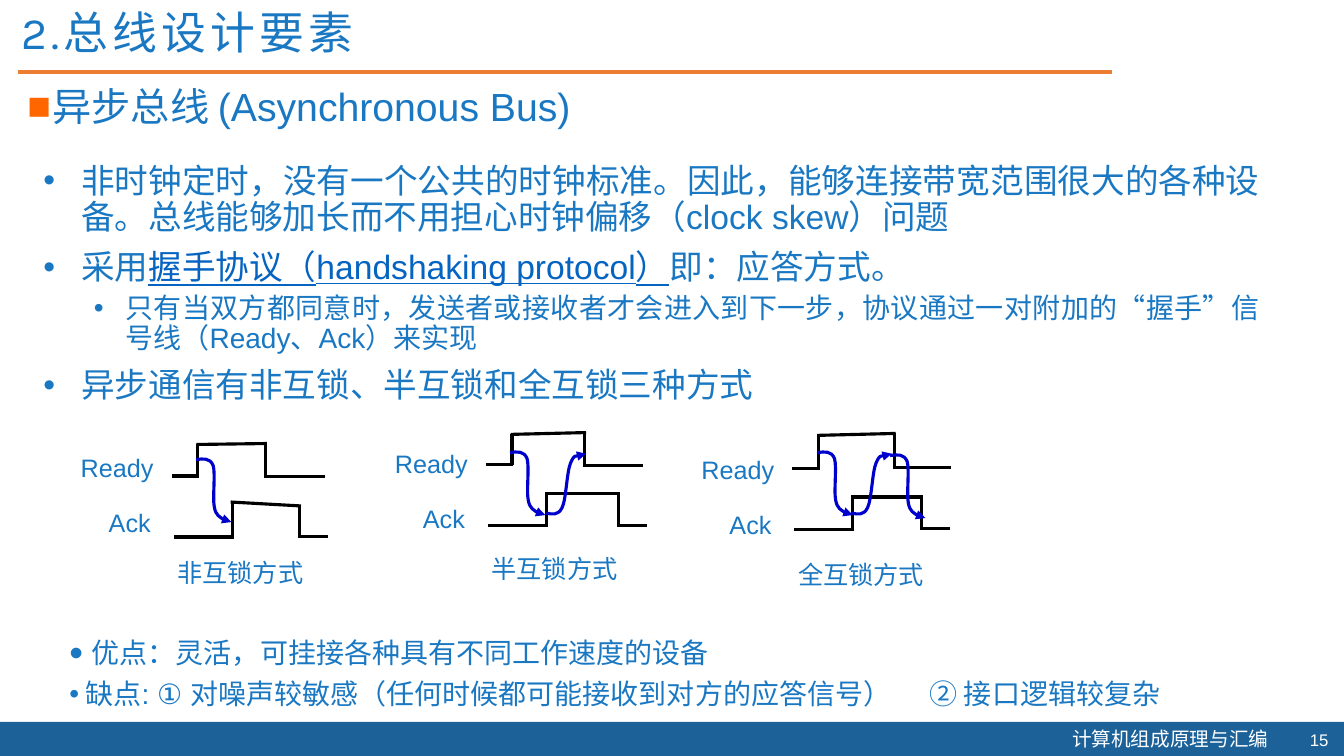
from itertools import pairwise

from lxml.etree import SubElement
from pptx import Presentation
from pptx.dml.color import RGBColor
from pptx.enum.shapes import MSO_CONNECTOR, MSO_SHAPE
from pptx.enum.text import MSO_ANCHOR, MSO_AUTO_SIZE, PP_ALIGN
from pptx.oxml.ns import qn
from pptx.util import Pt

BLUE = RGBColor(0x1A, 0x78, 0xC3)
LINK = RGBColor(0x05, 0x63, 0xC1)
FOOTER = RGBColor(0x1C, 0x62, 0x99)
ORANGE = RGBColor(0xED, 0x7D, 0x31)
ARROW = RGBColor(0x00, 0x00, 0xCC)
BLACK = RGBColor(0, 0, 0)
WHITE = RGBColor(255, 255, 255)

# Bezier points in points, relative to the start of each arrow
FORWARD = [(0, 0), (5, -0.7), (10, -1.4), (12.2, 4.3), (13.9, 10.1), (11.7, 27.5),
           (13, 33.8), (14, 40.2), (17.3, 41), (19.3, 42.6), (21.2, 44),
           (23, 44.6), (25.2, 44.6)]
REPLY = [(0, 0), (4, 0.9), (8.4, 2), (11.3, -3.8), (14.3, -9.9), (14.6, -29.4),
         (17.4, -35.8), (20.3, -42.3), (26.4, -41.6), (28.6, -42.4)]


class SlideBuilder:
    font = "Arial"
    color = BLUE
    stroke = 2.25

    def __init__(self, page):
        self.page = page

    def title(self, text, left, top, width, height):
        box = self.page.shapes.title
        box.left, box.top, box.width, box.height = map(Pt, (left, top, width, height))
        frame = box.text_frame
        frame.auto_size = MSO_AUTO_SIZE.NONE
        frame.vertical_anchor = MSO_ANCHOR.MIDDLE
        para = frame.paragraphs[0]
        self.style(para, 32, font="Karla")
        para.alignment = PP_ALIGN.LEFT
        para.line_spacing = 0.9
        span = para.add_run()
        span.text = text
        span.font._element.set("spc", "300")

    def style(self, para, size, color=None, font=None):
        para.font.size = Pt(size)
        para.font.name = font or self.font
        para.font.color.rgb = color or self.color

    def frame(self, left, top, width, height):
        box = self.page.shapes.add_textbox(*map(Pt, (left, top, width, height)))
        box.text_frame.word_wrap = True
        return box.text_frame

    def label(self, text, left, top, width, height, size=18, color=None, font=None,
              align=PP_ALIGN.LEFT):
        para = self.frame(left, top, width, height).paragraphs[0]
        para.text = text
        para.alignment = align
        self.style(para, size, color, font)

    def bullet(self, frame, text, size, margin, indent, before=0, spacing=1.0,
               align=PP_ALIGN.LEFT, mark="•", mark_color=None, mark_scale=None,
               tab=None, link=None):
        para = frame.paragraphs[0]
        if para.runs:
            para = frame.add_paragraph()
            para.space_before = Pt(before)
        para.line_spacing = spacing
        para.alignment = align
        properties = para._p.get_or_add_pPr()
        properties.set("marL", str(Pt(margin)))
        properties.set("indent", str(Pt(-indent)))
        if mark_color:
            SubElement(SubElement(properties, qn("a:buClr")), qn("a:srgbClr"), val=mark_color)
        if mark_scale:
            SubElement(properties, qn("a:buSzPct"), val=str(mark_scale * 1000))
        SubElement(properties, qn("a:buFont"), typeface=self.font)
        SubElement(properties, qn("a:buChar"), char=mark)
        if tab:
            tabs = SubElement(properties, qn("a:tabLst"))
            SubElement(tabs, qn("a:tab"), pos=str(Pt(tab)), algn="l")
        self.style(para, size)
        for part in text.partition(link) if link else [text]:
            span = para.add_run()
            span.text = part
            if part == link:
                span.font.color.rgb = LINK
                span.font.underline = True

    def bar(self, left, top, width, height, color):
        shape = self.page.shapes.add_shape(MSO_SHAPE.RECTANGLE,
                                           *map(Pt, (left, top, width, height)))
        shape.shadow.inherit = False
        shape.fill.solid()
        shape.fill.fore_color.rgb = color
        shape.line.fill.background()

    def line(self, start, end, color=BLACK, width=None):
        line = self.page.shapes.add_connector(MSO_CONNECTOR.STRAIGHT,
                                              *map(Pt, (*start, *end)))
        line.line.color.rgb = color
        line.line.width = Pt(width or self.stroke)
        SubElement(line._element.spPr, qn("a:effectLst"))

    def pulse(self, x, y, start, rise, fall, end, low, top_left, top_right, tail):
        left, right = rise - 1, fall + 1  # overlaps close the corners
        self.line((x + start, y + low), (x + rise + 1, y + low))
        self.line((x + rise, y + top_left), (x + rise, y + low))
        self.line((x + left, y + top_left), (x + right, y + top_right))
        self.line((x + fall, y + top_right), (x + fall, y + tail))
        self.line((x + fall - 1, y + tail), (x + end, y + tail))

    def curved_arrow(self, x, y, controls):
        points = [(Pt(x + dx), Pt(y + dy)) for dx, dy in controls]
        builder = self.page.shapes.build_freeform(*points[0])
        builder.add_line_segments(points[1:], close=False)
        arrow = builder.convert_to_shape()
        arrow.shadow.inherit = False
        arrow.fill.background()
        arrow.line.color.rgb = ARROW
        arrow.line.width = Pt(self.stroke)
        properties = arrow._element.spPr
        SubElement(properties.find(qn("a:ln")), qn("a:tailEnd"), type="triangle")
        # Every three points after the start form one cubic curve
        outline = next(properties.iter(qn("a:path")))
        segments = outline.findall(qn("a:lnTo"))
        for first in range(0, len(segments), 3):
            curve = SubElement(outline, qn("a:cubicBezTo"))
            for segment in segments[first:first + 3]:
                curve.append(segment[0])
                outline.remove(segment)

    def timing_diagram(self, caption, x, y, label_y, ready, ack, arrows):
        self.pulse(x, y, *ready)
        self.pulse(x, y, *ack)
        for dx, dy, controls in arrows:
            self.curved_arrow(x + dx, y + dy, controls)
        self.label("Ready", x - 72, label_y, 72, 29)
        self.label("Ack", x - 52, label_y + 39, 55, 29)
        self.label(caption, x - 3, label_y + 75, 125, 29)


def main():
    deck = Presentation()
    deck.slide_width, deck.slide_height = Pt(960), Pt(540)
    slide = SlideBuilder(deck.slides.add_slide(deck.slide_layouts[5]))

    # Footer and title
    slide.bar(0, 515.7, 960, 25, FOOTER)
    slide.label("计算机组成原理与汇编", 758.7, 515.5, 160, 24.5, 14, WHITE, "Noto Sans CJK SC")
    slide.label("15", 920, 518, 36, 21.5, 12, WHITE, align=PP_ALIGN.RIGHT)
    slide.line((12.6, 51.4), (794.6, 51.4), ORANGE, 3)
    slide.title("2.总线设计要素", 8, 8, 767, 34.5)

    # Heading
    heading = slide.frame(12.5, 55.2, 932, 46)
    slide.bullet(heading, "异步总线 (Asynchronous Bus)", 28, 18, 18,
                 mark="■", mark_color="FF6600")

    # Main points
    points = slide.frame(24, 113.8, 883, 173)
    main_style = dict(size=24, margin=27, indent=27, before=10, spacing=0.9,
                      align=PP_ALIGN.JUSTIFY)
    sub_style = main_style | dict(size=20, margin=58.5, indent=22.5, before=5)
    slide.bullet(points, "非时钟定时，没有一个公共的时钟标准。因此，能够连接带宽范围很大的各种设备。"
                 "总线能够加长而不用担心时钟偏移（clock skew）问题", **main_style)
    slide.bullet(points, "采用握手协议（handshaking protocol）即：应答方式。",
                 link="握手协议（handshaking protocol）", **main_style)
    slide.bullet(points, "只有当双方都同意时，发送者或接收者才会进入到下一步，"
                 "协议通过一对附加的“握手”信号线（Ready、Ack）来实现", **sub_style)
    slide.bullet(points, "异步通信有非互锁、半互锁和全互锁三种方式", **main_style)

    # Timing diagrams: start, rise, fall, end, low, top left, top right, tail
    slide.timing_diagram(
        "非互锁方式", 122.6, 340, 319.5,
        (0, 18.7, 67, 109.2, 0, -22.5, -23.2, 0.5),
        (2, 43.2, 91.4, 111.6, 43.6, 18.6, 21.4, 43),
        [(17.5, -11.7, FORWARD)])
    slide.timing_diagram(
        "半互锁方式", 347, 332, 317,
        (0, 18.7, 70.6, 112.3, 0, -21.7, -23, 0.7),
        (1.4, 43.2, 95, 115.2, 43.1, 20.8, 20.8, 43.1),
        [(17.3, -8.7, FORWARD), (43.2, 34.5, REPLY)])
    slide.timing_diagram(
        "全互锁方式", 566, 335, 321,
        (0, 18.7, 72.7, 113.6, -0.2, -24, -25.4, -1),
        (1.4, 43.2, 92.2, 112.3, 43, 20, 20, 42.3),
        [(17.9, -11.7, FORWARD), (42.4, 31.5, REPLY), (69.8, -9.6, FORWARD)])

    # Advantages and drawbacks
    summary = slide.frame(42.5, 448.3, 896, 64)
    slide.bullet(summary, "优点：灵活，可挂接各种具有不同工作速度的设备", 20, 16, 16,
                 spacing=1.1, mark_scale=140)
    slide.bullet(summary, "缺点: ① 对噪声较敏感（任何时候都可能接收到对方的应答信号）\t② 接口逻辑较复杂",
                 20, 11.5, 11.5, before=2.8, spacing=1.1, tab=614.5)

    deck.save("out.pptx")


if __name__ == "__main__":
    main()
